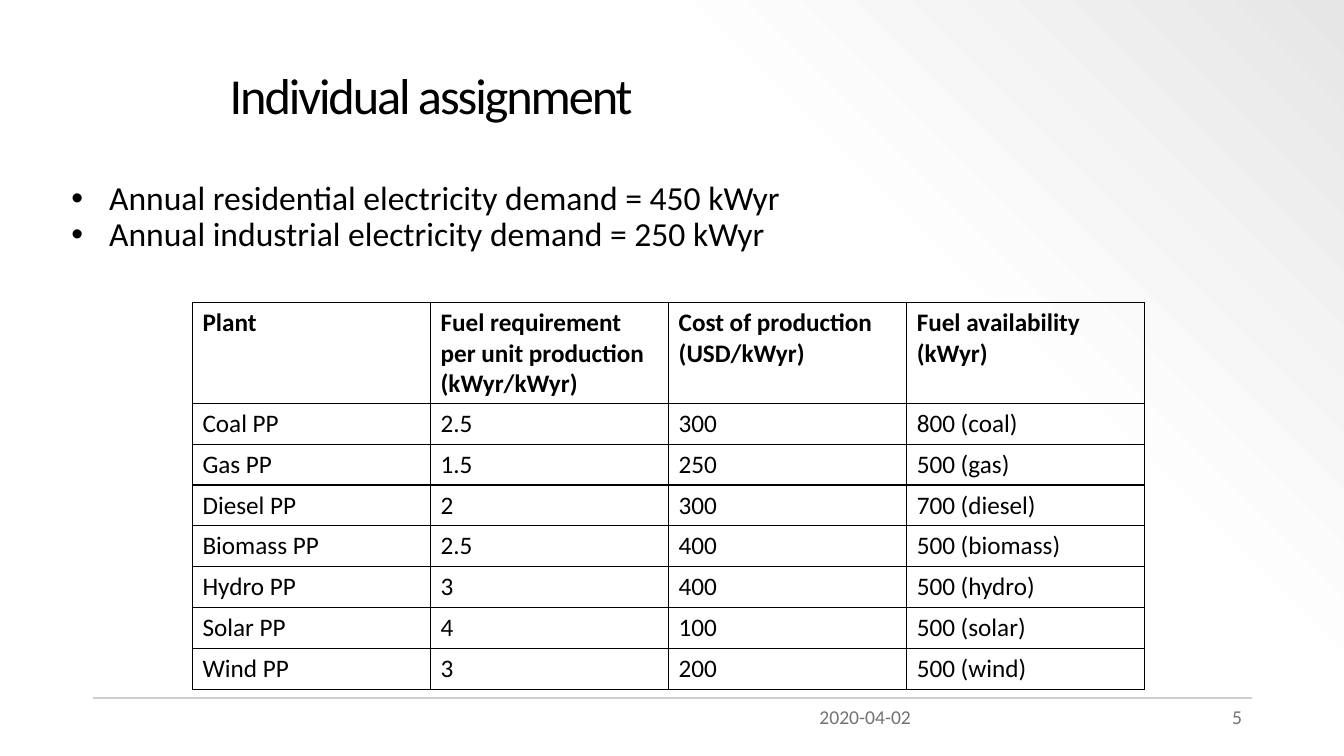
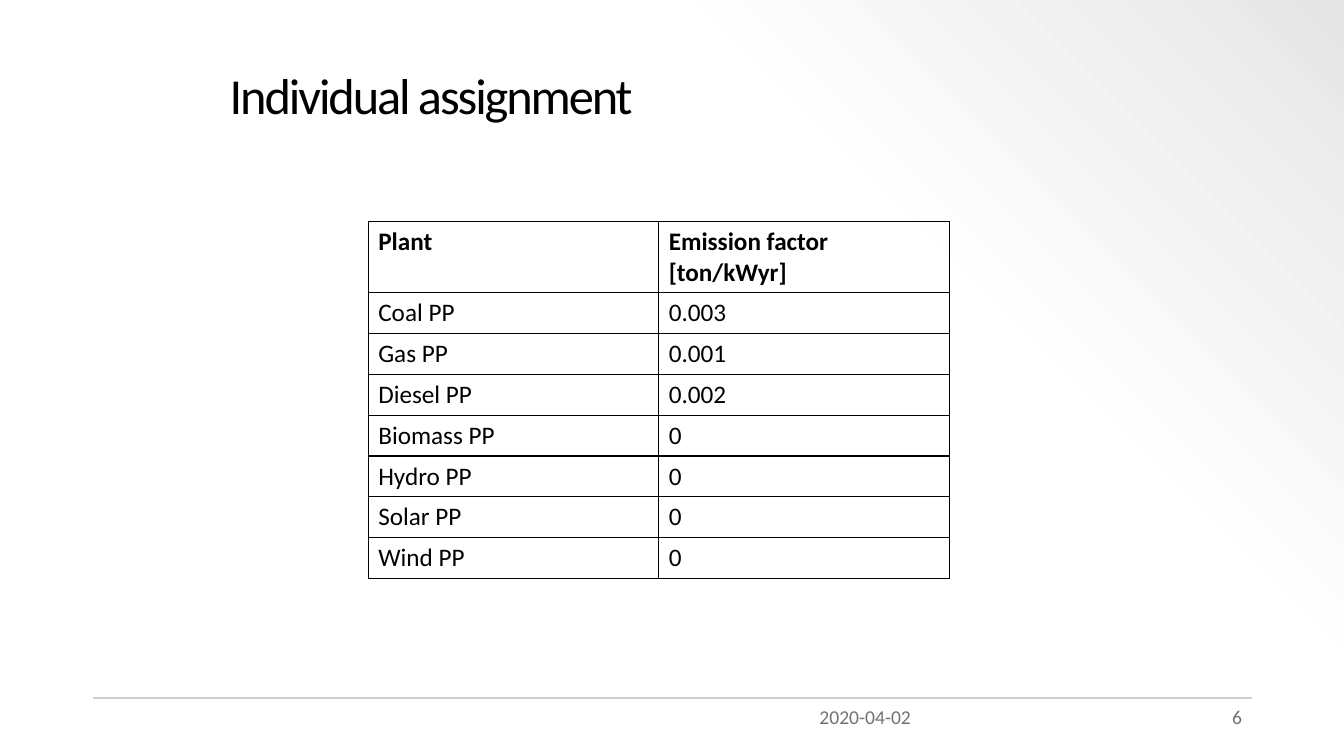
import copy
import pptx
import pptx.dml.color
import pptx.enum.shapes
import pptx.enum.text
import pptx.oxml
import pptx.oxml.ns
import pptx.util

Cm = pptx.util.Cm
Pt = pptx.util.Pt
qn = pptx.oxml.ns.qn
ALIGN = pptx.enum.text.PP_ALIGN
ANCHOR = pptx.enum.text.MSO_ANCHOR

INK, FOOTER_GREY, RULE_GREY = "000000", "767171", "D0CECE"
BACKGROUND_STOPS = [(0, "FFFFFF"), (0.69, "FDFDFD"), (1, "E7E6E6")]
FONT = "Calibri"
TITLE_FONT = {"name": FONT, "size": Pt(36)}
BULLET_FONT = {"name": FONT, "size": Pt(24)}
FOOTER_FONT = {"name": FONT, "size": Pt(14)}
HEADER_FONT = {"name": FONT, "size": Pt(18), "bold": True}
CELL_FONT = {"name": FONT, "size": Pt(18), "bold": False}

TITLE = "Individual assignment"
DATE = "2020-04-02"
TITLE_BOX = (5.54, 1.37, 19.94, 2.21)
BULLET_BOX = (1.55, 4.45, 31.39, 2.11)
FOOTER_BOX = (2.34, 17.58, 29.21, 1.09)
ROW_HEIGHT = 1.03
BULLET_INDENT = 0.95

DEMANDS = [
    "Annual residential electricity demand = 450 kWyr",
    "Annual industrial electricity demand = 250 kWyr",
]
PLANT_ROWS = [
    ["Plant", "Fuel requirement per unit production (kWyr/kWyr)",
     "Cost of production (USD/kWyr)", "Fuel availability (kWyr)"],
    ["Coal PP", "2.5", "300", "800 (coal)"],
    ["Gas PP", "1.5", "250", "500 (gas)"],
    ["Diesel PP", "2", "300", "700 (diesel)"],
    ["Biomass PP", "2.5", "400", "500 (biomass)"],
    ["Hydro PP", "3", "400", "500 (hydro)"],
    ["Solar PP", "4", "100", "500 (solar)"],
    ["Wind PP", "3", "200", "500 (wind)"],
]
EMISSION_ROWS = [
    ["Plant", "Emission factor [ton/kWyr]"],
    ["Coal PP", "0.003"],
    ["Gas PP", "0.001"],
    ["Diesel PP", "0.002"],
    ["Biomass PP", "0"],
    ["Hydro PP", "0"],
    ["Solar PP", "0"],
    ["Wind PP", "0"],
]


def hex_color(value):
    """Turn a hex string into a colour."""
    return pptx.dml.color.RGBColor.from_string(value)


def apply_format(target, values):
    """Set every attribute of a dict of format values."""
    for name, value in values.items():
        setattr(target, name, value)


def write_paragraph(para, text, font, color=INK, **layout):
    """Write one formatted span into a paragraph and return the span."""
    apply_format(para, layout)
    span = para.add_run()
    span.text = text
    apply_format(span.font, font)
    span.font.color.rgb = hex_color(color)
    return span


def add_text_frame(page, box, anchor=ANCHOR.TOP):
    """Add a wrapping text box and return its text frame."""
    frame = page.shapes.add_textbox(*map(Cm, box)).text_frame
    apply_format(frame, {"word_wrap": True, "vertical_anchor": anchor})
    return frame


def paint_background(master):
    """Give the master a diagonal gradient that darkens to the top right."""
    fill = master.background.fill
    fill.gradient()
    fill.gradient_angle = 45
    stop_list = next(master.element.cSld.iter(qn("a:gsLst")))
    stop_list.insert(1, copy.deepcopy(stop_list[0]))
    for stop, (position, color) in zip(fill.gradient_stops, BACKGROUND_STOPS):
        stop.position = position
        stop.color.rgb = hex_color(color)


def add_footer(page, box, number):
    """Draw the rule, the page number and the date."""
    left, top, width, height = box
    rule = page.shapes.add_connector(
        pptx.enum.shapes.MSO_CONNECTOR.STRAIGHT,
        Cm(left), Cm(top), Cm(left + width), Cm(top))
    rule.line.color.rgb = hex_color(RULE_GREY)
    rule.line.width = Pt(1.5)
    pptx.oxml.ns.qn
    rule.element.spPr.append(pptx.oxml.parse_xml(
        "<a:effectLst %s/>" % pptx.oxml.ns.nsdecls("a")))
    field_width, gap = 7.62, 0.07
    fields = [
        (left + width - field_width, str(number), ALIGN.RIGHT),
        (left + 18.06, DATE, ALIGN.LEFT),
    ]
    for field_left, text, alignment in fields:
        frame = add_text_frame(
            page, (field_left, top + gap, field_width, height - gap))
        write_paragraph(frame.paragraphs[0], text, FOOTER_FONT, FOOTER_GREY,
                        alignment=alignment)


def add_title(page, box, text):
    """Write the slide title with tightened letters."""
    frame = add_text_frame(page, box, ANCHOR.MIDDLE)
    span = write_paragraph(frame.paragraphs[0], text, TITLE_FONT,
                           line_spacing=0.9)
    span.font._element.set("spc", "-150")


def add_bullets(page, box, lines):
    """Write a bulleted list."""
    frame = add_text_frame(page, box)
    for index, line in enumerate(lines):
        para = frame.add_paragraph() if index else frame.paragraphs[0]
        properties = para._p.get_or_add_pPr()
        properties.set("marL", str(Cm(BULLET_INDENT)))
        properties.set("indent", str(-Cm(BULLET_INDENT)))
        for tag, name, value in [("a:buFont", "typeface", "Arial"),
                                 ("a:buChar", "char", "•")]:
            bullet = pptx.oxml.parse_xml(
                "<%s %s/>" % (tag, pptx.oxml.ns.nsdecls("a")))
            bullet.set(name, value)
            properties.append(bullet)
        write_paragraph(para, line, BULLET_FONT, line_spacing=0.9)


def outline_cell(cell):
    """Give a cell no fill and a thin line on all four sides."""
    properties = cell._tc.get_or_add_tcPr()
    for side in ("lnL", "lnR", "lnT", "lnB"):
        properties.append(pptx.oxml.parse_xml(
            '<a:%s %s w="%d"><a:solidFill><a:srgbClr val="%s"/></a:solidFill>'
            "</a:%s>" % (side, pptx.oxml.ns.nsdecls("a"), Pt(1), INK, side)))
    cell.fill.background()


def add_plant_table(page, box, rows):
    """Fill a box with a ruled table; the header row takes the spare height."""
    left, top, width, height = box
    table = page.shapes.add_table(
        len(rows), len(rows[0]), *map(Cm, box)).table
    apply_format(table, {"first_row": False, "horz_banding": False})
    for column in table.columns:
        column.width = Cm(width / len(rows[0]))
    header_height = height - ROW_HEIGHT * (len(rows) - 1)
    for index, texts in enumerate(rows):
        table.rows[index].height = Cm(ROW_HEIGHT if index else header_height)
        for cell, text in zip(table.rows[index].cells, texts):
            outline_cell(cell)
            write_paragraph(cell.text_frame.paragraphs[0], text,
                            CELL_FONT if index else HEADER_FONT)


def add_assignment_page(deck, number, table_box, rows, bullets=()):
    """Build one assignment slide."""
    page = deck.slides.add_slide(deck.slide_layouts[6])
    add_footer(page, FOOTER_BOX, number)
    if bullets:
        add_bullets(page, BULLET_BOX, bullets)
    add_plant_table(page, table_box, rows)
    add_title(page, TITLE_BOX, TITLE)


def main():
    """Build and save the deck."""
    deck = pptx.Presentation()
    apply_format(deck, {"slide_width": Cm(33.87), "slide_height": Cm(19.05)})
    paint_background(deck.slide_master)
    add_assignment_page(deck, 5, (4.85, 7.62, 24, 9.75), PLANT_ROWS, DEMANDS)
    add_assignment_page(deck, 6, (9.28, 5.58, 14.64, 9), EMISSION_ROWS)
    deck.save("out.pptx")


if __name__ == "__main__":
    main()
